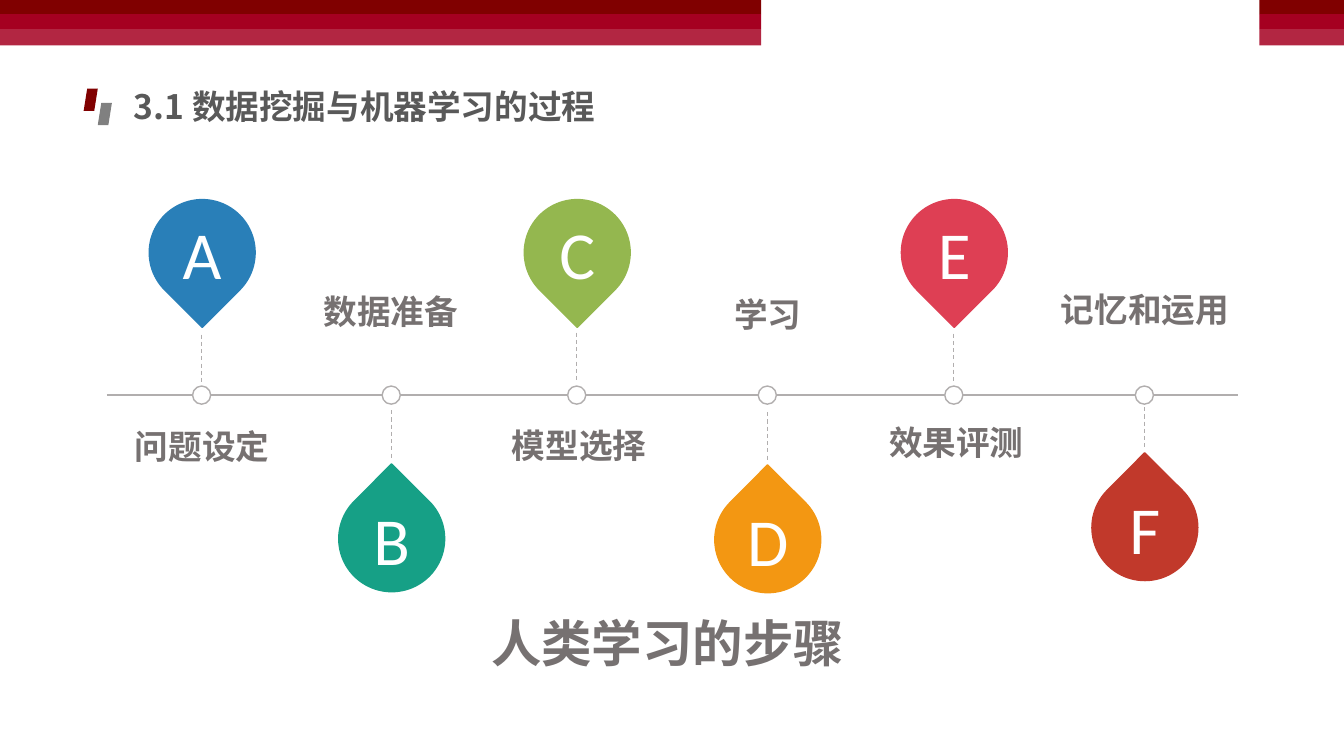
from pptx import Presentation
from pptx.dml.color import RGBColor
from pptx.enum.dml import MSO_LINE
from pptx.enum.shapes import MSO_CONNECTOR, MSO_SHAPE
from pptx.enum.text import MSO_ANCHOR, PP_ALIGN
from pptx.oxml.ns import qn
from pptx.util import Pt
from lxml.etree import SubElement

# Content
TITLE = "3.1 数据挖掘与机器学习的过程"
FOOTER = "人类学习的步骤"
# letter, label, colour, centre x, drop top, label top, stem top, stem end
STEPS = [
    ("A", "问题设定", "297FB8", 200, 198, 418, 332, 380),
    ("B", "数据准备", "16A086", 388, 482, 284, 407, 455),
    ("C", "模型选择", "94B74F", 572, 198, 417, 330, 378),
    ("D", "学习", "F39712", 761, 483, 287, 409, 456),
    ("E", "效果评测", "DE3F54", 946, 198, 414, 331, 378),
    ("F", "记忆和运用", "C1392B", 1135, 471, 282, 404, 443),
]
BANDS = [("800000", 0, 14), ("A50021", 14, 15), ("B22642", 29, 16)]
BARS = [(0, 755), (1249, 84)]
MARKS = [("800000", 83, 88), ("808080", 97, 102)]
GREY, DARK, PALE = "767171", "595959", "B1AEAE"
AXIS, DROP, DOT, CELL = 392, 105, 18, 79
LABEL_X, LABEL_W, PITCH = 97, 207, 187

SCALE = 9144  # EMU per px, 100 px to the inch


def px(*vals):
    return [val * SCALE for val in vals]


def rgb(code):
    return RGBColor.from_string(code)


def draw(kind, left, top, wide, high, fill, line=None, turn=0):
    shape = slide.shapes.add_shape(kind, *px(left, top, wide, high))
    shape.shadow.inherit = False
    shape.rotation = turn
    shape.fill.solid()
    shape.fill.fore_color.rgb = rgb(fill)
    if line:
        shape.line.color.rgb = rgb(line)
        shape.line.width = Pt(1)
    else:
        shape.line.fill.background()


def rule(x1, y1, x2, y2, width, dash=None):
    line = slide.shapes.add_connector(MSO_CONNECTOR.STRAIGHT, *px(x1, y1, x2, y2))
    line.line.color.rgb = rgb(PALE)
    line.line.width = Pt(width)
    if dash:
        line.line.dash_style = dash
    SubElement(line._element.spPr, qn("a:effectLst"))


def write(text, left, top, wide, high, size=24, color=GREY, bold=True,
          font="Calibri", align=PP_ALIGN.CENTER, anchor=MSO_ANCHOR.TOP, space=None):
    frame = slide.shapes.add_textbox(*px(left, top, wide, high)).text_frame
    frame.word_wrap = True
    frame.vertical_anchor = anchor
    para = frame.paragraphs[0]
    para.alignment = align
    para.line_spacing = space
    run = para.add_run()
    run.text = text
    run.font.size, run.font.bold, run.font.name = Pt(size), bold, font
    run.font.color.rgb = rgb(color)


deck = Presentation()
deck.slide_width, deck.slide_height = px(1333, 750)
slide = deck.slides.add_slide(deck.slide_layouts[6])

# Top bars
for left, wide in BARS:
    for color, top, high in BANDS:
        draw(MSO_SHAPE.RECTANGLE, left, top, wide, high, color)

# Heading with its two marks
for color, left, top in MARKS:
    draw(MSO_SHAPE.PARALLELOGRAM, left, top, 14, 22, color)
write(TITLE, 123, 80, 667, 50, color=DARK, font="Noto Sans CJK SC",
      align=PP_ALIGN.LEFT)

# Timeline
rule(106, AXIS, 1228, AXIS, 1)
for i, (letter, label, color, mid, top, low, start, end) in enumerate(STEPS):
    turn = 135 if top < AXIS else 314.8
    draw(MSO_SHAPE.TEAR, mid - DROP // 2, top, DROP, DROP, color, color, turn)
    write(letter, mid - CELL // 2, top + (DROP - CELL) // 2, CELL, CELL, size=48,
          color="FFFFFF", bold=False, anchor=MSO_ANCHOR.MIDDLE)
    write(label, LABEL_X + i * PITCH, low, LABEL_W, 88)
    rule(mid, start, mid, end, 0.75, MSO_LINE.DASH)
    draw(MSO_SHAPE.OVAL, mid - DOT // 2, AXIS - DOT // 2, DOT, DOT, "FFFFFF", PALE)

# Caption
write(FOOTER, 231, 609, 862, 39, size=36, space=0.9)

deck.save("out.pptx")
